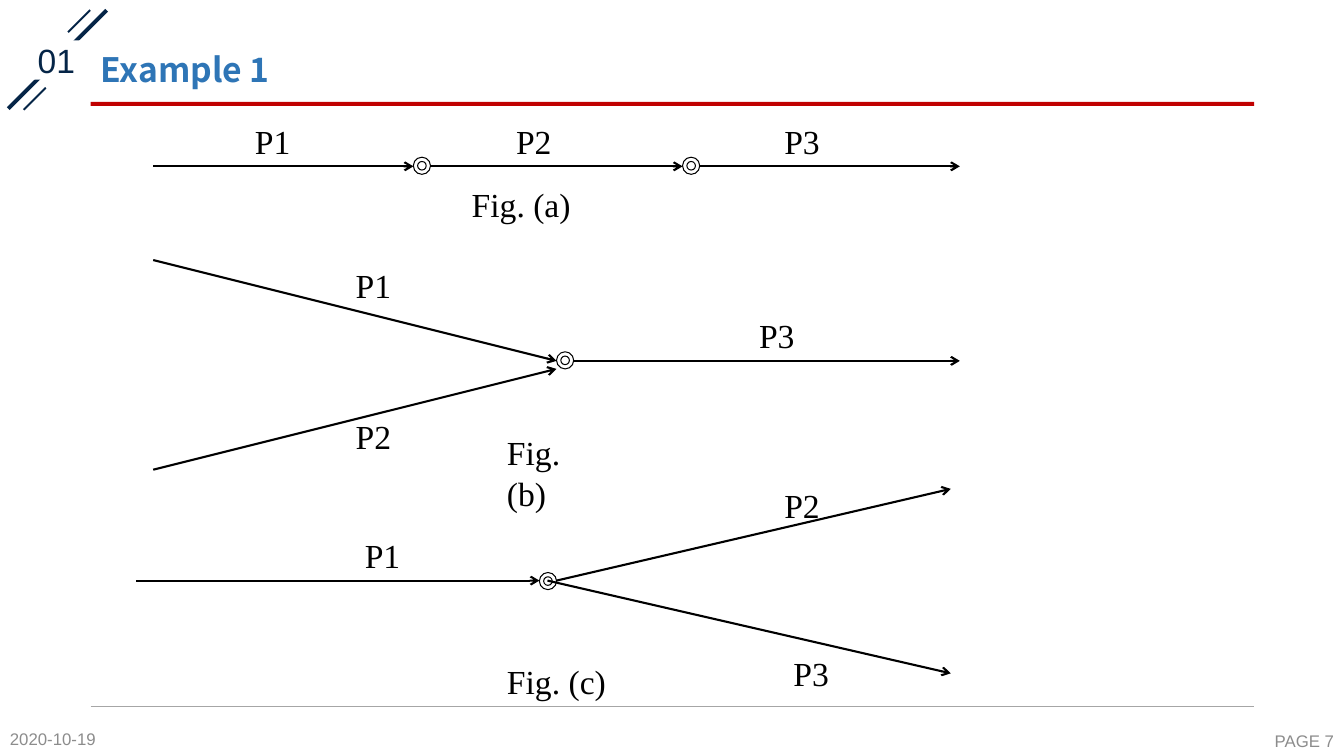
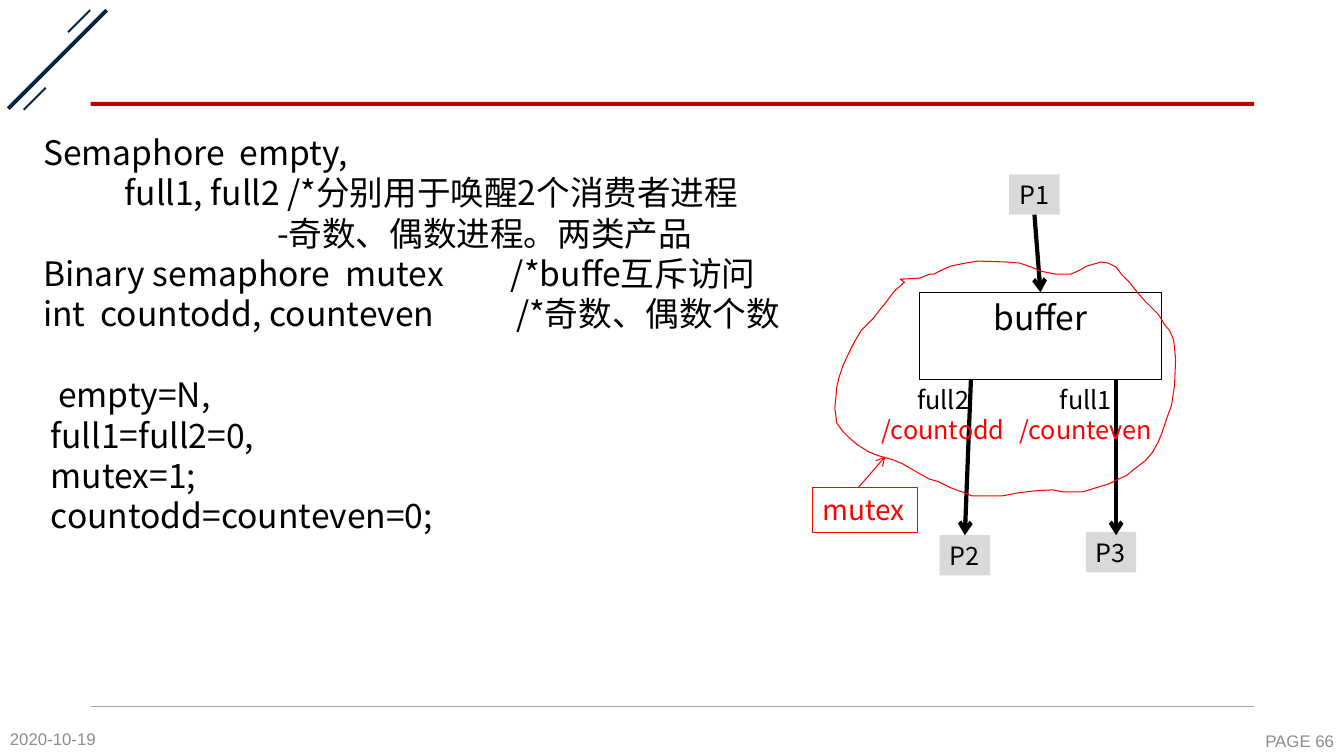
"""Build two slides on process synchronisation with semaphores."""
from lxml import etree
from pptx import Presentation
from pptx.dml.color import RGBColor
from pptx.enum import shapes, text
from pptx.oxml import ns
from pptx.util import Pt

PX = 9144
NAVY = RGBColor(0x05, 0x25, 0x47)
RED = RGBColor(0xC0, 0x00, 0x00)
BRIGHT = RGBColor(0xFF, 0x00, 0x00)
BLUE = RGBColor(0x2E, 0x75, 0xB6)
GREY = RGBColor(0x8C, 0x8C, 0x8C)
RULE = RGBColor(0xA6, 0xA6, 0xA6)
PALE = RGBColor(0xD9, 0xD9, 0xD9)
WHITE = RGBColor(0xFF, 0xFF, 0xFF)
BLACK = RGBColor(0x00, 0x00, 0x00)
SANS, SERIF, ARIAL = "Noto Sans CJK SC", "Times New Roman", "Arial"
LEFT, MID, RIGHT = text.PP_ALIGN.LEFT, text.PP_ALIGN.CENTER, text.PP_ALIGN.RIGHT
TOP, MIDDLE = text.MSO_ANCHOR.TOP, text.MSO_ANCHOR.MIDDLE
RECT, RING = shapes.MSO_SHAPE.RECTANGLE, shapes.MSO_SHAPE.DONUT

ARROWS = [
    (152, 165, 410, 165), (427, 165, 677, 165), (693, 165, 952, 165),
    (152, 258, 552, 358), (152, 466, 552, 366), (568, 358, 952, 358),
    (135, 576, 535, 576), (552, 576, 943, 485), (543, 576, 943, 668),
]
RINGS = [(410, 156), (677, 156), (552, 349), (535, 568)]
LABELS = [
    ("P1", 243, 115), ("P2", 502, 115), ("P3", 768, 115),
    ("P1", 343, 258), ("P2", 343, 408), ("P3", 743, 308),
    ("P1", 352, 526), ("P2", 768, 476), ("P3", 777, 643),
]
FIGS = [("Fig. (a)", 458, 178), ("Fig. (b)", 493, 424), ("Fig. (c)", 493, 651)]
CODE = [
    "Semaphore  empty,",
    ("full1, full2 /*分别用于唤醒2个消费者进程", {"indent": 81}),
    ("-奇数、偶数进程。两类产品", {"indent": 232}),
    ("Binary semaphore  mutex\t/*buffe互斥访问", {"tab": 464}),
    ("int  countodd, counteven\t/*奇数、偶数个数", {"tab": 469}),
    ("  empty=N,", {"before": 29}),
    " full1=full2=0,",
    " mutex=1;",
    " countodd=counteven=0;",
]
CLOUD = [
    (893, 277), (912, 276), (922, 272), (926, 272), (934, 268), (943, 264),
    (958, 261), (970, 259), (999, 260), (1011, 261), (1023, 265), (1032, 269),
    (1047, 272), (1062, 272), (1071, 268), (1078, 264), (1092, 260),
    (1099, 261), (1107, 265), (1113, 273), (1121, 281), (1128, 290),
    (1135, 298), (1142, 305), (1149, 312), (1155, 322), (1160, 328),
    (1164, 337), (1166, 356), (1165, 382), (1162, 402), (1158, 413),
    (1153, 428), (1149, 438), (1143, 449), (1136, 457), (1123, 467),
    (1117, 472), (1110, 475), (1100, 480), (1087, 484), (1074, 488),
    (1054, 488), (1044, 486), (1026, 487), (1010, 489), (994, 492),
    (964, 492), (954, 488), (943, 484), (931, 478), (921, 475), (907, 467),
    (895, 460), (885, 456), (871, 452), (861, 448), (850, 441), (842, 434),
    (836, 428), (830, 420), (828, 405), (830, 384), (832, 375), (836, 363),
    (842, 350), (847, 340), (854, 328), (866, 316), (873, 307), (878, 301),
    (887, 289), (897, 280),
]


def put(box, lines, size=24, face=SANS, hue=BLACK, bold=False, align=LEFT,
        anchor=TOP, wrap=False, lead=None, pad=None):
    """Fill a shape with lines, each a string or a (string, options) pair."""
    frame = box.text_frame
    frame.word_wrap, frame.vertical_anchor = wrap, anchor
    if pad is not None:
        frame.margin_left = frame.margin_right = pad * PX
        frame.margin_top = frame.margin_bottom = pad * PX
    if face == SANS and lead is None:
        lead = size * 1.2
    for n, line in enumerate(lines):
        words, opts = (line, {}) if isinstance(line, str) else line
        para = frame.paragraphs[0] if n == 0 else frame.add_paragraph()
        para.alignment = align
        if lead:
            para.line_spacing = Pt(lead)
        para.space_before = Pt(opts.get("before", 0))
        props = para._p.get_or_add_pPr()
        if "indent" in opts:
            props.set("marL", str(opts["indent"] * PX))
        if "tab" in opts:
            stops = etree.SubElement(props, ns.qn("a:tabLst"))
            etree.SubElement(stops, ns.qn("a:tab"), pos=str(opts["tab"] * PX), algn="l")
        run = para.add_run()
        run.text = words
        font = run.font
        font.size, font.name, font.bold = Pt(size), face, bold
        font.color.rgb = opts.get("hue", hue)
        etree.SubElement(run._r.get_or_add_rPr(), ns.qn("a:ea"), typeface=face)
    return box


def label(slide, lines, x, y, w, h, **style):
    """Add a text box."""
    box = slide.shapes.add_textbox(x * PX, y * PX, w * PX, h * PX)
    return put(box, lines, **style)


def paint(item, fill=None, edge=None, width=0.75):
    """Set the fill and outline of a shape and drop its shadow."""
    item.shadow.inherit = False
    if fill is None:
        item.fill.background()
    else:
        item.fill.solid()
        item.fill.fore_color.rgb = fill
    if edge is None:
        item.line.fill.background()
    else:
        item.line.color.rgb = edge
        item.line.width = Pt(width)
    return item


def block(slide, x, y, w, h, kind=RECT, turn=0, **look):
    """Add a preset shape."""
    item = slide.shapes.add_shape(kind, x * PX, y * PX, w * PX, h * PX)
    item.rotation = turn
    return paint(item, **look)


def link(slide, x1, y1, x2, y2, hue=BLACK, width=1.5, arrow=True, start=None, end=None):
    """Add a straight line, joined to start's bottom and end's top if given."""
    line = slide.shapes.add_connector(
        shapes.MSO_CONNECTOR.STRAIGHT, x1 * PX, y1 * PX, x2 * PX, y2 * PX)
    if start is not None:
        line.begin_connect(start, 2)
    if end is not None:
        line.end_connect(end, 0)
    line.line.color.rgb = hue
    line.line.width = Pt(width)
    if arrow:
        etree.SubElement(line.line._get_or_add_ln(), ns.qn("a:tailEnd"), type="arrow")
    etree.SubElement(line._element.spPr, ns.qn("a:effectLst"))


def outline(slide, points, edge):
    """Add a closed outline through the points."""
    path = slide.shapes.build_freeform(*points[0], scale=PX)
    path.add_line_segments(points[1:], close=True)
    paint(path.convert_to_shape(), edge=edge)


def base(deck, page):
    """Add a slide with the shared slashes, rules and footer."""
    slide = deck.slides.add_slide(deck.slide_layouts[6])
    for x, y, w, h in [(-12, 57, 138, 4), (63, 20, 31, 2), (19, 97, 31, 2)]:
        block(slide, x, y, w, h, turn=315, fill=NAVY)
    block(slide, 90, 101, 1154, 4, fill=RED)
    link(slide, 90, 701, 1244, 701, hue=RULE, width=0.5, arrow=False)
    foot = {"size": 12, "face": ARIAL, "hue": GREY, "anchor": MIDDLE, "wrap": True}
    label(slide, ["2020-10-19"], 0, 716, 118, 34, **foot)
    label(slide, [f"PAGE {page}"], 1189, 718, 144, 34, align=RIGHT, **foot)
    return slide


def graphs(deck):
    """Build the slide of three precedence graphs."""
    slide = base(deck, 7)
    label(slide, ["Example 1"], 90, 40, 1154, 60, hue=BLUE, bold=True,
          anchor=MIDDLE, wrap=True, lead=26)
    put(block(slide, 23, 40, 66, 39, fill=WHITE), ["01"], face=ARIAL, hue=NAVY,
        align=MID, anchor=MIDDLE, pad=0)
    for ends in ARROWS:
        link(slide, *ends)
    for x, y in RINGS:
        block(slide, x, y, 17, 17, kind=RING, edge=BLACK)
    for word, x, y in LABELS:
        label(slide, [word], x, y, 55, 50, face=SERIF)
    for word, x, y in FIGS:
        label(slide, [word], x, y, 119, 50, face=SERIF)


def buffer(deck):
    """Build the slide of semaphores around a shared buffer."""
    slide = base(deck, 66)
    label(slide, CODE, 33, 126, 866, 414, wrap=True)
    store = put(block(slide, 912, 290, 240, 87, edge=BLACK), ["buffer"], align=MID)
    nodes = {}
    for name, x, y in [("P1", 1001, 173), ("P2", 932, 531), ("P3", 1077, 528)]:
        nodes[name] = put(block(slide, x, y, 50, 40, fill=PALE), [name], size=18)
    link(slide, 1026, 213, 1032, 290, width=3, start=nodes["P1"], end=store)
    link(slide, 963, 376, 957, 531, width=3, end=nodes["P2"])
    link(slide, 1107, 376, 1107, 531, width=3)
    for flag, count, x, w in [("full1", "/counteven", 998, 158), ("full2", "/countodd", 861, 149)]:
        label(slide, [flag, (count, {"hue": BRIGHT})], x, 376, w, 71, size=18, align=MID)
    outline(slide, CLOUD, BRIGHT)
    put(block(slide, 806, 484, 104, 44, edge=BRIGHT), ["mutex"], size=20, hue=BRIGHT)
    link(slide, 851, 484, 878, 453, hue=BRIGHT, width=0.75)


def main():
    """Build and save the deck."""
    deck = Presentation()
    deck.slide_width, deck.slide_height = 1333 * PX, 750 * PX
    graphs(deck)
    buffer(deck)
    deck.save("out.pptx")


if __name__ == "__main__":
    main()
